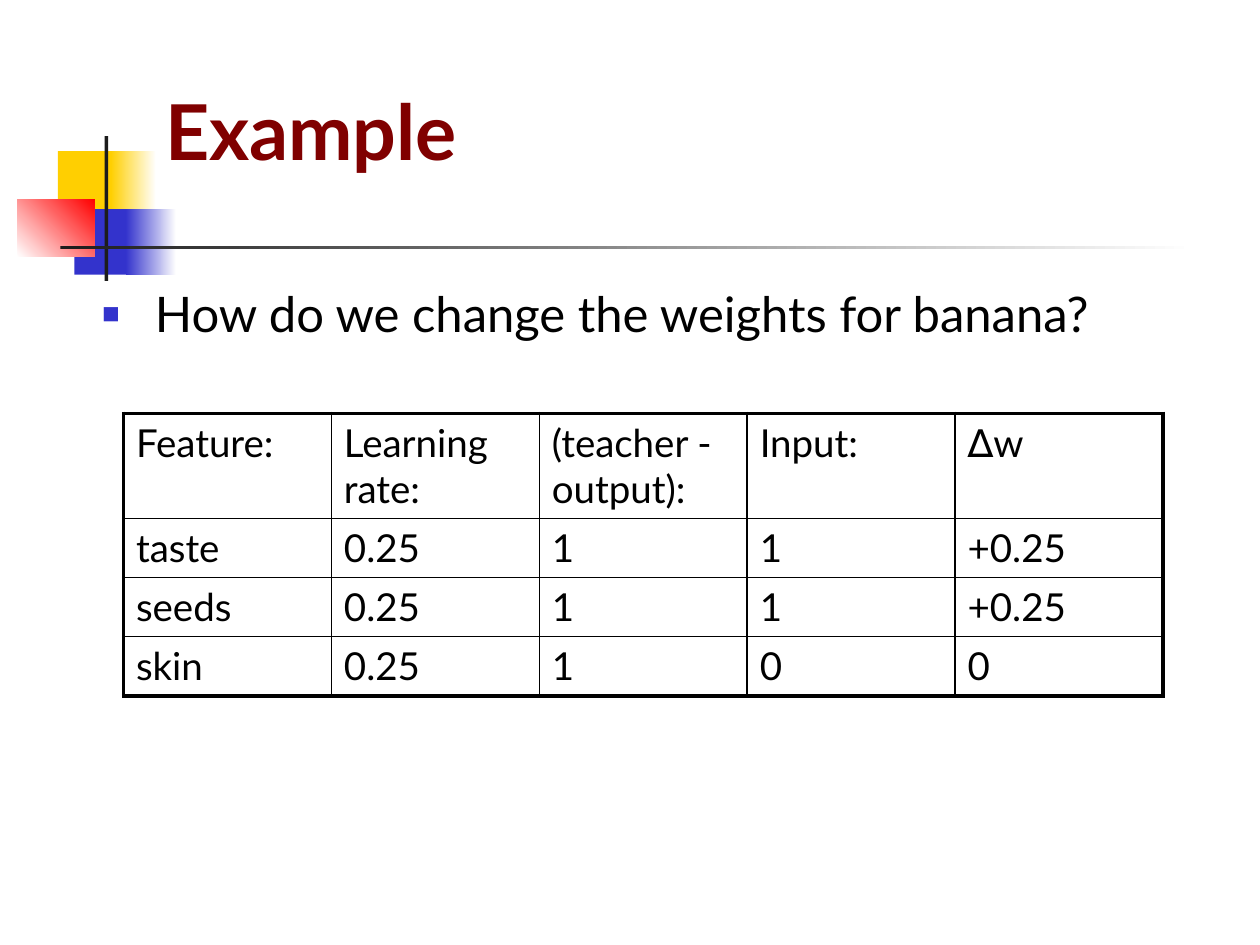
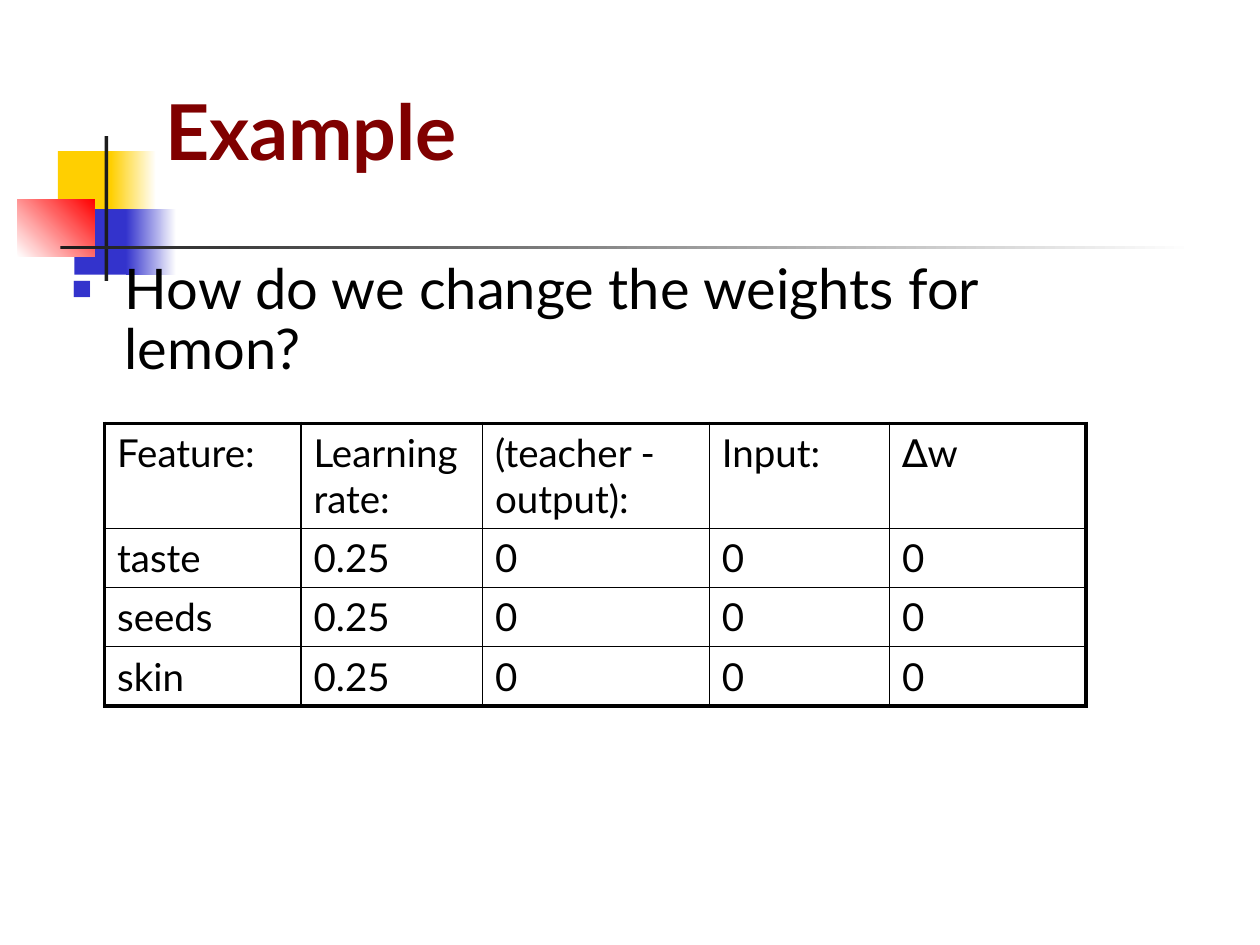
import pptx
import pptx.util
import pptx.dml.color
import pptx.enum.shapes
import pptx.enum.text
import pptx.oxml
import pptx.oxml.ns

Inches, Pt = pptx.util.Inches, pptx.util.Pt
Color = pptx.dml.color.RGBColor.from_string
Anchor = pptx.enum.text.MSO_ANCHOR
Align = pptx.enum.text.PP_ALIGN

THEME = {
    "font": "Lato", "title": "800000", "text": "000000", "bullet": "3333CC",
    "gold": "FFCF01", "blue": "3333CC", "red": "FF0000", "dark": "1C1C1C",
    "white": "FFFFFF", "title size": 44, "cell size": 22, "thick": 2.25, "thin": 1,
}
NS = pptx.oxml.ns.nsdecls("a")

# place, start colour, end colour (None for a plain fill), angle
BAND = [
    ((0.46, 1.2, 0.48, 0.52), "gold", None, 0),
    ((0.88, 1.2, 0.36, 0.52), "gold", "white", 0),
    ((0.59, 1.66, 0.46, 0.52), "blue", None, 0),
    ((1, 1.66, 0.4, 0.52), "blue", "white", 0),
    ((0.14, 1.58, 0.61, 0.46), "white", "red", 45),
    ((0.83, 1.08, 0.03, 1.15), "dark", None, 0),
    ((0.48, 1.95, 9, 0.03), "dark", "white", 0),
]
HEAD = ["Feature:", "Learning rate:", "(teacher - output):", "Input:", "∆w"]
ROWS = [0.83, 0.47, 0.47, 0.47]
SLIDES = [
    {"text": "How do we change the weights for banana?", "size": 28,
     "body": (0.67, 2.25), "table": (0.98, 3.28), "cols": [1.65] * 5,
     "data": [["taste", "0.25", "1", "1", "+0.25"],
              ["seeds", "0.25", "1", "1", "+0.25"],
              ["skin", "0.25", "1", "0", "0"]]},
    {"text": "How do we change the weights for lemon?", "size": 32,
     "body": (0.43, 2.02), "table": (0.83, 3.36),
     "cols": [1.56, 1.44, 1.8, 1.43, 1.56],
     "data": [[name, "0.25", "0", "0", "0"] for name in ("taste", "seeds", "skin")]},
]


def place(shape, *box):
    """Move and size a shape, in inches."""
    for name, value in zip(("left", "top", "width", "height"), box):
        setattr(shape, name, Inches(value))


def write(frame, text, size, color, bold=False):
    """Fill a text frame with one styled paragraph and return it."""
    para = frame.paragraphs[0]
    para.alignment = Align.LEFT
    run = para.add_run()
    run.text = text
    look = {"name": THEME["font"], "size": Pt(size), "bold": bold}
    for name, value in look.items():
        setattr(run.font, name, value)
    run.font.color.rgb = Color(THEME[color])
    return para


deck = pptx.Presentation()
deck.slide_width, deck.slide_height = Inches(10), Inches(7.5)
layout = deck.slide_layouts[1]
pages = [deck.slides.add_slide(layout) for _ in SLIDES]

# The band is drawn once and moved to the layout that all slides share.
for num, (box, start, end, angle) in enumerate(BAND):
    part = pages[0].shapes.add_shape(
        pptx.enum.shapes.MSO_SHAPE.RECTANGLE, *map(Inches, box))
    part.shadow.inherit = False
    part.line.fill.background()
    if end:
        part.fill.gradient()
        part.fill.gradient_angle = angle
        for stop, name in zip(part.fill.gradient_stops, (start, end)):
            stop.color.rgb = Color(THEME[name])
    else:
        part.fill.solid()
        part.fill.fore_color.rgb = Color(THEME[start])
    part._element.nvSpPr.cNvPr.set("id", str(20 + num))
    layout.shapes._spTree.append(part._element)

for page, info in zip(pages, SLIDES):
    title = page.shapes.title
    place(title, 1.26, 0.23, 8.52, 1.6)
    frame = title.text_frame
    inset = Inches(0.05)
    look = {"vertical_anchor": Anchor.MIDDLE, "margin_left": inset, "margin_right": inset,
            "margin_top": inset, "margin_bottom": inset}
    for name, value in look.items():
        setattr(frame, name, value)
    write(frame, "Example", THEME["title size"], "title", True)

    body = page.placeholders[1]
    place(body, *info["body"], 8.5, 4.5)
    body.text_frame.auto_size = pptx.enum.text.MSO_AUTO_SIZE.NONE
    para = write(body.text_frame, info["text"], info["size"], "text")
    para.line_spacing = 0.9
    props = para._p.get_or_add_pPr()
    props.set("marL", str(Inches(0.46)))
    props.set("indent", str(Inches(-0.42)))
    for xml in (f'<a:buClr {NS}><a:srgbClr val="{THEME["bullet"]}"/></a:buClr>',
                f'<a:buSzPct {NS} val="60000"/>',
                f'<a:buChar {NS} char="■"/>'):
        props.append(pptx.oxml.parse_xml(xml))

    grid = [HEAD] + info["data"]
    place_box = (*info["table"], sum(info["cols"]), sum(ROWS))
    table = page.shapes.add_table(len(grid), len(HEAD), *map(Inches, place_box)).table
    table.first_row = table.horz_banding = False
    for col, width in zip(table.columns, info["cols"]):
        col.width = Inches(width)
    for row, height in zip(table.rows, ROWS):
        row.height = Inches(height)
    for r, line in enumerate(grid):
        for c, text in enumerate(line):
            cell = table.cell(r, c)
            write(cell.text_frame, text, THEME["cell size"], "text")
            outer = {"L": c == 0, "R": c == len(line) - 1,
                     "T": r == 0, "B": r == len(grid) - 1}
            for side, edge in outer.items():
                width = Pt(THEME["thick" if edge else "thin"])
                cell._tc.get_or_add_tcPr().append(pptx.oxml.parse_xml(
                    f'<a:ln{side} {NS} w="{width}"><a:solidFill>'
                    f'<a:srgbClr val="{THEME["text"]}"/></a:solidFill></a:ln{side}>'))
            cell.fill.background()

deck.save("out.pptx")
